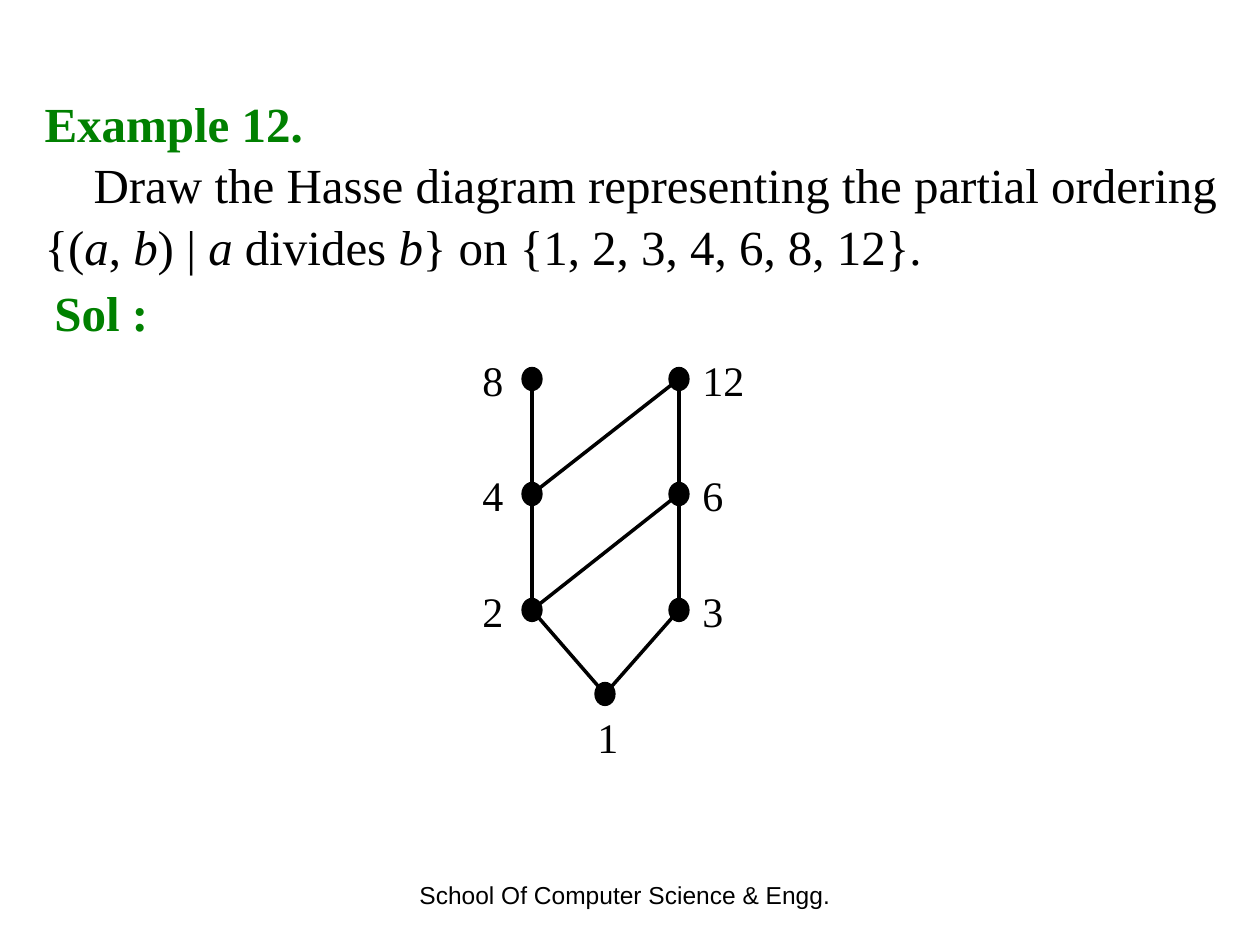
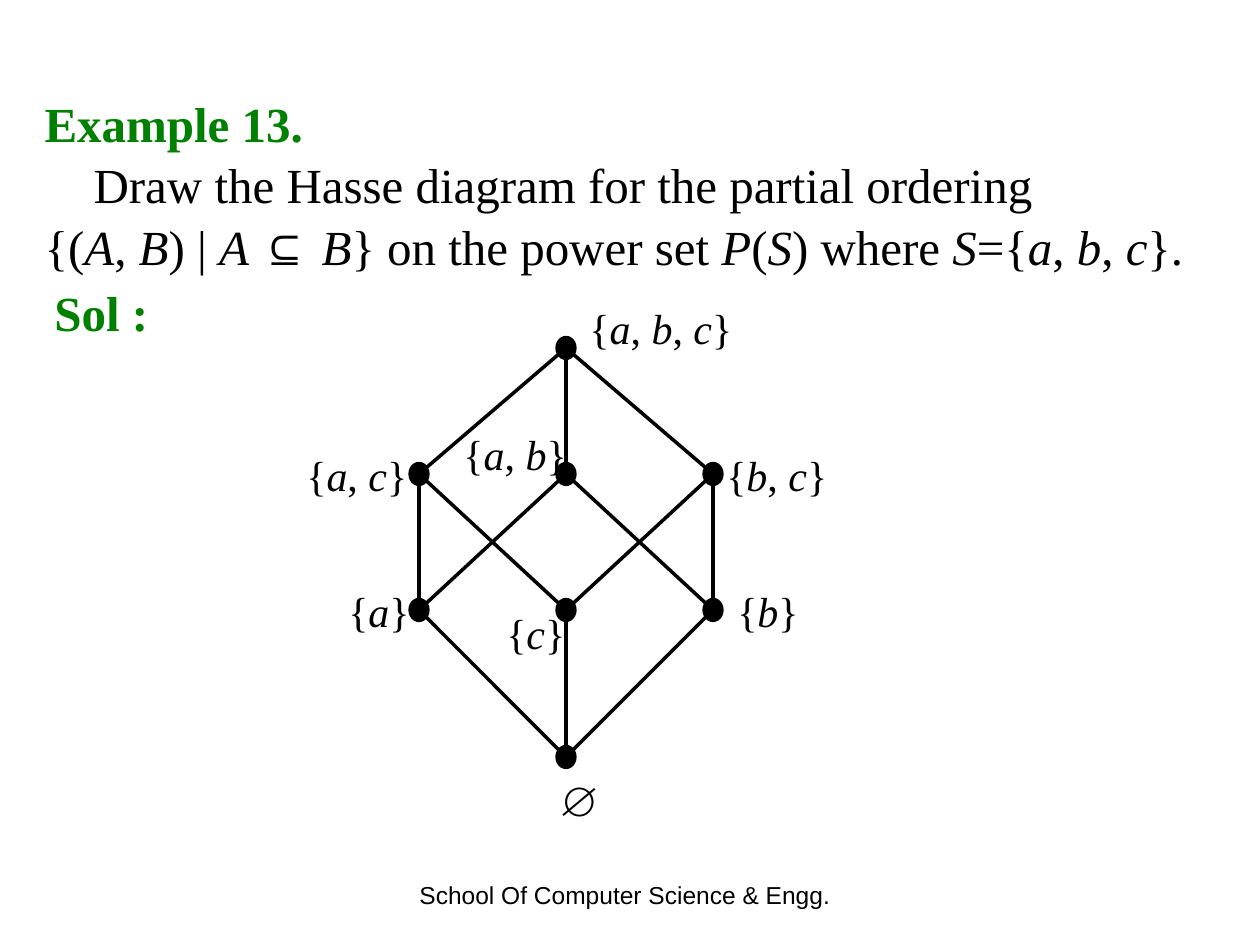
from pptx import Presentation
from pptx import util as u
from pptx.dml.color import RGBColor
from pptx.enum import shapes, text
from pptx.oxml.ns import qn
from lxml import etree

BLACK, GREEN = "000000", "008000"
SERIF = "Times New Roman"
FOOTER = "School Of Computer Science & Engg."
HEAD = dict(size=28, name=SERIF, color=GREEN, bold=True)
BODY = dict(size=28, name=SERIF, color=BLACK, bold=False)
LABEL = dict(size=24, name=SERIF, color=BLACK)
FOOT = dict(size=14, name="Arial", color=BLACK)
DOT_W, DOT_H = 20, 23
LABEL_H, INDENT = 63, 49

# Asterisks enclose italic text.
# Nodes: label -> (centre x, centre y, label offset x, offset y, label width)
SLIDES = [
    dict(
        head="Example 12.",
        task="Draw the Hasse diagram representing the partial ordering "
             "{(*a*, *b*) | *a* divides *b*} on {1, 2, 3, 4, 6, 8, 12}.",
        nodes={
            "1": (605, 694, -20, 9, 47),
            "2": (532, 610, -62, -33, 47),
            "3": (679, 610, 11, -33, 47),
            "4": (532, 494, -62, -33, 47),
            "6": (679, 494, 11, -33, 47),
            "8": (532, 379, -62, -33, 47),
            "12": (679, 379, 11, -33, 68),
        },
        edges=[("1", "2"), ("1", "3"), ("2", "4"), ("2", "6"),
               ("3", "6"), ("4", "8"), ("4", "12"), ("6", "12")],
    ),
    dict(
        head="Example 13.",
        task="Draw the Hasse diagram for the partial ordering\n"
             "{(*A*, *B*) | *A *⊆ *B*} on the power set *P*(*S*) "
             "where *S*={*a*, *b*, *c*}.",
        nodes={
            "∅": (566, 757, -20, 9, 60),
            "{*a*}": (419, 610, -83, -33, 87),
            "{*c*}": (566, 610, -72, -11, 87),
            "{*b*}": (713, 610, 12, -33, 87),
            "{*a*, *c*}": (419, 474, -125, -33, 127),
            "{*a*, *b*}": (566, 474, -115, -54, 130),
            "{*b*, *c*}": (713, 474, 1, -33, 127),
            "{*a*, *b*, *c*}": (566, 348, 11, -54, 170),
        },
        edges=[("∅", "{*a*}"), ("∅", "{*b*}"), ("∅", "{*c*}"),
               ("{*a*}", "{*a*, *b*}"), ("{*a*}", "{*a*, *c*}"),
               ("{*b*}", "{*a*, *b*}"), ("{*b*}", "{*b*, *c*}"),
               ("{*c*}", "{*a*, *c*}"), ("{*c*}", "{*b*, *c*}"),
               ("{*a*, *b*}", "{*a*, *b*, *c*}"),
               ("{*a*, *c*}", "{*a*, *b*, *c*}"),
               ("{*b*, *c*}", "{*a*, *b*, *c*}")],
    ),
]


def px(n):
    return u.Emu(round(n * 914400 / 126))


def rgb(code):
    return RGBColor.from_string(code)


def write(para, words, form, align=text.PP_ALIGN.LEFT):
    """Fill a paragraph, with italics between asterisks and breaks at newlines."""
    para.alignment = align
    para.line_spacing = 1.05
    for i, part in enumerate(words.split("*")):
        for j, line in enumerate(part.split("\n")):
            if j:
                para.add_line_break()
            if not line:
                continue
            run = para.add_run()
            run.text = line
            font = run.font
            for key, val in form.items():
                if key == "color":
                    font.color.rgb = rgb(val)
                else:
                    setattr(font, key, u.Pt(val) if key == "size" else val)
            font.italic = i % 2 == 1


def put(slide, words, box, form, wrap=False, align=text.PP_ALIGN.LEFT):
    frame = slide.shapes.add_textbox(*map(px, box)).text_frame
    frame.word_wrap = wrap
    write(frame.paragraphs[0], words, form, align)


def title(slide, head, task):
    shape = slide.shapes.title
    for key, val in dict(left=32, top=84, width=1228, height=190).items():
        setattr(shape, key, px(val))
    frame = shape.text_frame
    frame.word_wrap = True
    frame.auto_size = text.MSO_AUTO_SIZE.NONE
    frame.vertical_anchor = text.MSO_ANCHOR.TOP
    write(frame.paragraphs[0], head, HEAD)
    para = frame.add_paragraph()
    para._p.get_or_add_pPr().set("indent", str(px(INDENT)))
    write(para, task, BODY)


def edge(slide, start, end):
    line = slide.shapes.add_connector(
        shapes.MSO_CONNECTOR.STRAIGHT, *map(px, start + end))
    line.line.color.rgb = rgb(BLACK)
    line.line.width = u.Pt(2)
    etree.SubElement(line._element.spPr, qn("a:effectLst"))


def dot(slide, x, y):
    box = (x - DOT_W / 2, y - DOT_H / 2, DOT_W, DOT_H)
    shape = slide.shapes.add_shape(shapes.MSO_SHAPE.OVAL, *map(px, box))
    shape.shadow.inherit = False
    shape.fill.solid()
    shape.fill.fore_color.rgb = rgb(BLACK)
    shape.line.color.rgb = rgb(BLACK)
    shape.line.width = u.Pt(0.75)


def hasse(slide, nodes, edges):
    for low, high in edges:
        edge(slide, nodes[low][:2], nodes[high][:2])
    for name, (x, y, dx, dy, width) in nodes.items():
        dot(slide, x, y)
        put(slide, name, (x + dx, y + dy, width, LABEL_H), LABEL)


def main():
    deck = Presentation()
    deck.slide_width, deck.slide_height = px(1260), px(945)
    for item in SLIDES:
        slide = deck.slides.add_slide(deck.slide_layouts[5])
        title(slide, item["head"], item["task"])
        put(slide, "Sol :", (42, 273, 145, 72), HEAD)
        hasse(slide, item["nodes"], item["edges"])
        put(slide, FOOTER, (315, 872, 620, 42), FOOT, True,
            text.PP_ALIGN.CENTER)
    deck.save("out.pptx")


if __name__ == "__main__":
    main()
